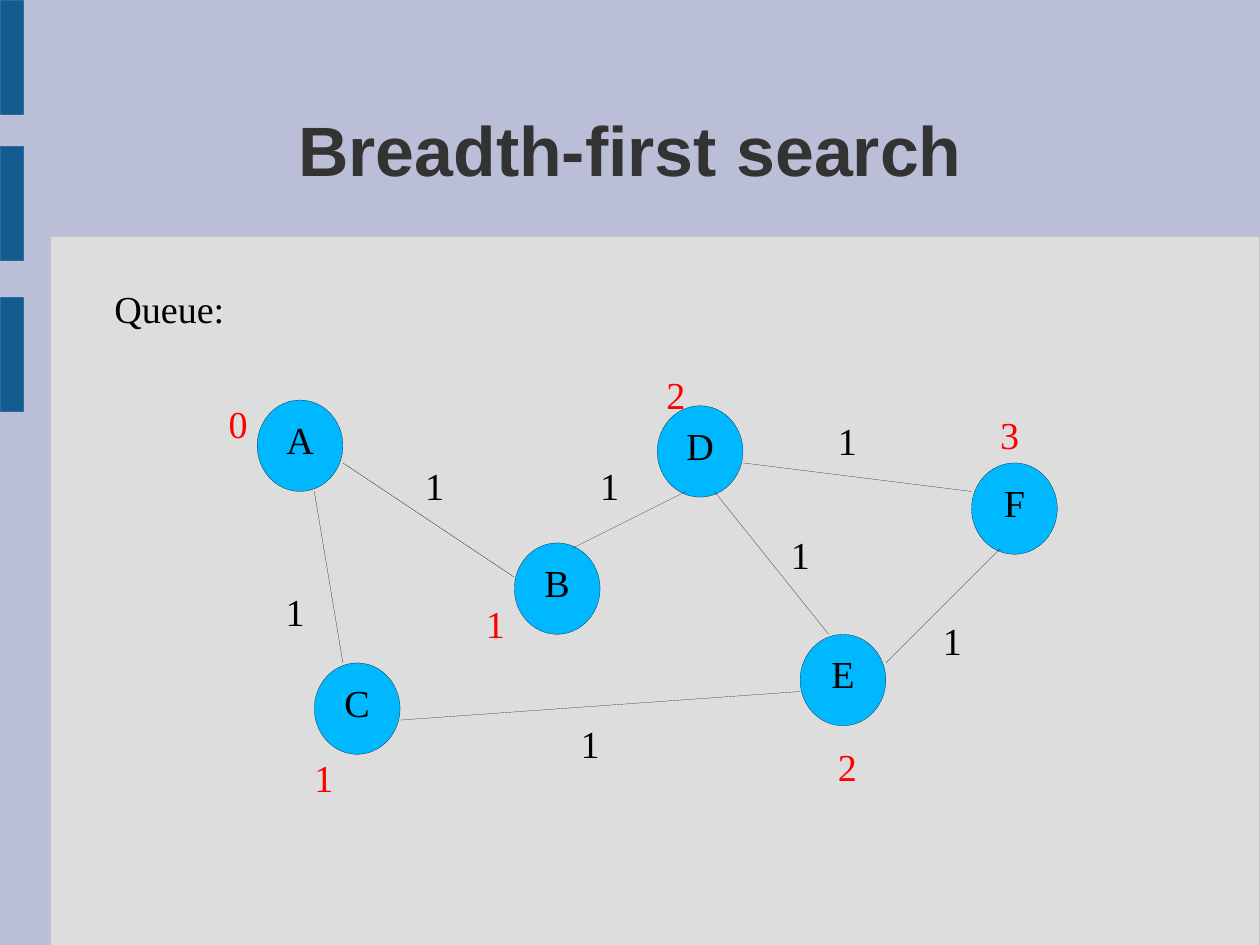
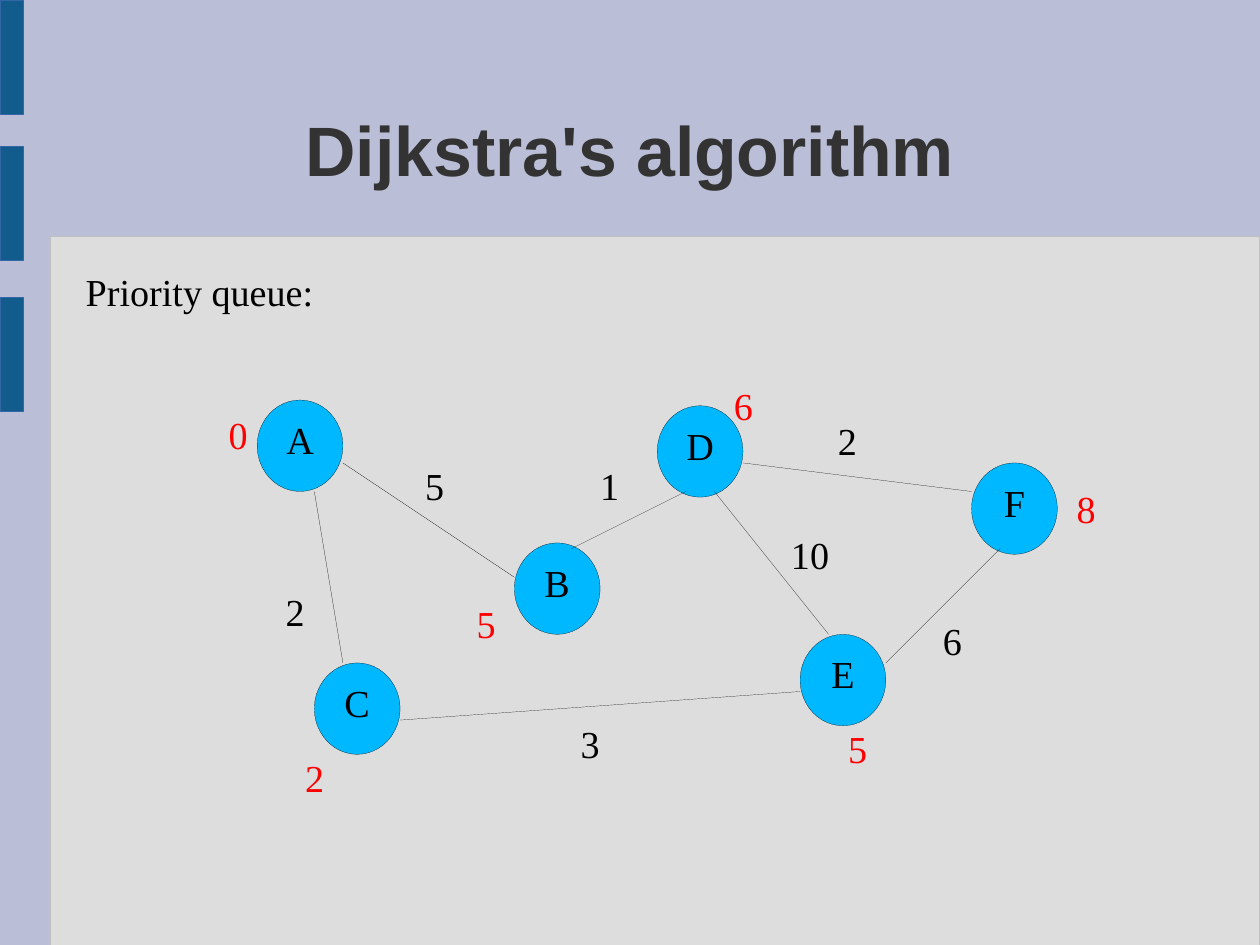
from lxml.etree import SubElement
from pptx import Presentation
from pptx.dml.color import RGBColor
from pptx.enum.shapes import MSO_CONNECTOR, MSO_SHAPE
from pptx.enum.text import MSO_ANCHOR, PP_ALIGN
from pptx.oxml.ns import qn
from pptx.util import Cm, Inches, Pt

BLACK = "000000"
RED = "FF0000"
HAIRLINE = Pt(0.1)

NODES = {
    "A": (2.25, 3.5),
    "B": (4.5, 4.75),
    "C": (2.75, 5.8),
    "D": (5.75, 3.55),
    "E": (7, 5.55),
    "F": (8.5, 4.05),
}
EDGES = {
    "AC": ((2.75, 4.3), (3, 5.8), (2.5, 5.15)),
    "AB": ((3, 4.05), (4.5, 5.05), (3.72, 4.05)),
    "BD": ((5, 4.8), (6, 4.3), (5.25, 4.05)),
    "CE": ((3.5, 6.3), (7, 6.05), (5.08, 6.3)),
    "DE": ((6.25, 4.3), (7.25, 5.55), (6.92, 4.65)),
    "DF": ((6.5, 4.05), (8.5, 4.3), (7.33, 3.65)),
    "EF": ((7.75, 5.8), (8.75, 4.8), (8.25, 5.4)),
}
SLIDES = [
    {
        "title": "Breadth-first search",
        "queue": ("Queue:", (1, 2.5), 1.12),
        "weights": dict.fromkeys(EDGES, 1),
        "distances": [
            (0, (2, 3.5)),
            (1, (2.75, 6.6)),
            (1, (4.25, 5.25)),
            (2, (5.83, 3.25)),
            (2, (7.33, 6.5)),
            (3, (8.75, 3.6)),
        ],
    },
    {
        "title": "Dijkstra's algorithm",
        "queue": ("Priority queue:", (0.75, 2.35), 2.39),
        "weights": {"AC": 2, "AB": 5, "BD": 1, "CE": 3, "DE": 10, "DF": 2, "EF": 6},
        "distances": [
            (0, (2, 3.6)),
            (5, (4.17, 5.25)),
            (2, (2.67, 6.6)),
            (6, (6.42, 3.35)),
            (5, (7.42, 6.35)),
            (8, (9.42, 4.25)),
        ],
    },
]


def rgb(value):
    return RGBColor.from_string(value)


def write(shape, text, size=24, font="Times New Roman", color=BLACK, bold=False,
          align=PP_ALIGN.LEFT, anchor=MSO_ANCHOR.TOP, bottom=0, wrap=False):
    frame = shape.text_frame
    frame.word_wrap = wrap
    frame.vertical_anchor = anchor
    frame.margin_left = frame.margin_right = frame.margin_top = 0
    frame.margin_bottom = Inches(bottom)
    paragraph = frame.paragraphs[0]
    paragraph.alignment = align
    run = paragraph.add_run()
    run.text = text
    run.font.size = Pt(size)
    run.font.name = font
    run.font.bold = bold
    run.font.color.rgb = rgb(color)


class Deck:
    def __init__(self):
        self.presentation = Presentation()
        self.presentation.slide_width = Cm(28)
        self.presentation.slide_height = Cm(21)
        self.slide = None

    def add_slide(self, title):
        self.slide = self.presentation.slides.add_slide(self.presentation.slide_layouts[6])
        background = self.slide.background.fill
        background.solid()
        background.fore_color.rgb = rgb("BABED6")
        self.shape(MSO_SHAPE.RECTANGLE, 0.44, 2.07, 10.58, 6.2, "DDDDDD", "C0C0C0")
        for top in (0, 1.28, 2.6):
            self.shape(MSO_SHAPE.RECTANGLE, 0, top, 0.2, 1, "125C8D", "3465A4")
        self.text(title, 0.81, 0.61, 9.41, 1.38, size=44, font="Arial", color="333333",
                  bold=True, align=PP_ALIGN.CENTER, anchor=MSO_ANCHOR.MIDDLE, wrap=True)

    def shape(self, kind, left, top, width, height, fill, line):
        shape = self.slide.shapes.add_shape(
            kind, Inches(left), Inches(top), Inches(width), Inches(height))
        shape.shadow.inherit = False
        shape.fill.solid()
        shape.fill.fore_color.rgb = rgb(fill)
        shape.line.color.rgb = rgb(line)
        shape.line.width = HAIRLINE
        return shape

    def text(self, text, left, top, width, height=0.46, **style):
        box = self.slide.shapes.add_textbox(
            Inches(left), Inches(top), Inches(width), Inches(height))
        write(box, text, **style)

    def number(self, value, left, top, color=BLACK):
        digits = str(value)
        self.text(digits, left, top, 0.19 * len(digits), color=color)

    def node(self, name, left, top):
        circle = self.shape(MSO_SHAPE.OVAL, left, top, 0.75, 0.8, "00B8FF", BLACK)
        write(circle, name, align=PP_ALIGN.CENTER, anchor=MSO_ANCHOR.MIDDLE,
              bottom=0.11, wrap=True)

    def edge(self, start, end):
        connector = self.slide.shapes.add_connector(
            MSO_CONNECTOR.STRAIGHT, *(Inches(value) for value in start + end))
        connector.line.color.rgb = rgb(BLACK)
        connector.line.width = HAIRLINE
        SubElement(connector._element.spPr, qn("a:effectLst"))

    def graph(self, weights, distances):
        for name, position in NODES.items():
            self.node(name, *position)
        for name, (start, end, label) in EDGES.items():
            self.edge(start, end)
            self.number(weights[name], *label)
        for distance, position in distances:
            self.number(distance, *position, color=RED)


def main():
    deck = Deck()
    for content in SLIDES:
        deck.add_slide(content["title"])
        queue, position, width = content["queue"]
        deck.text(queue, *position, width)
        deck.graph(content["weights"], content["distances"])
    deck.presentation.save("out.pptx")


if __name__ == "__main__":
    main()
